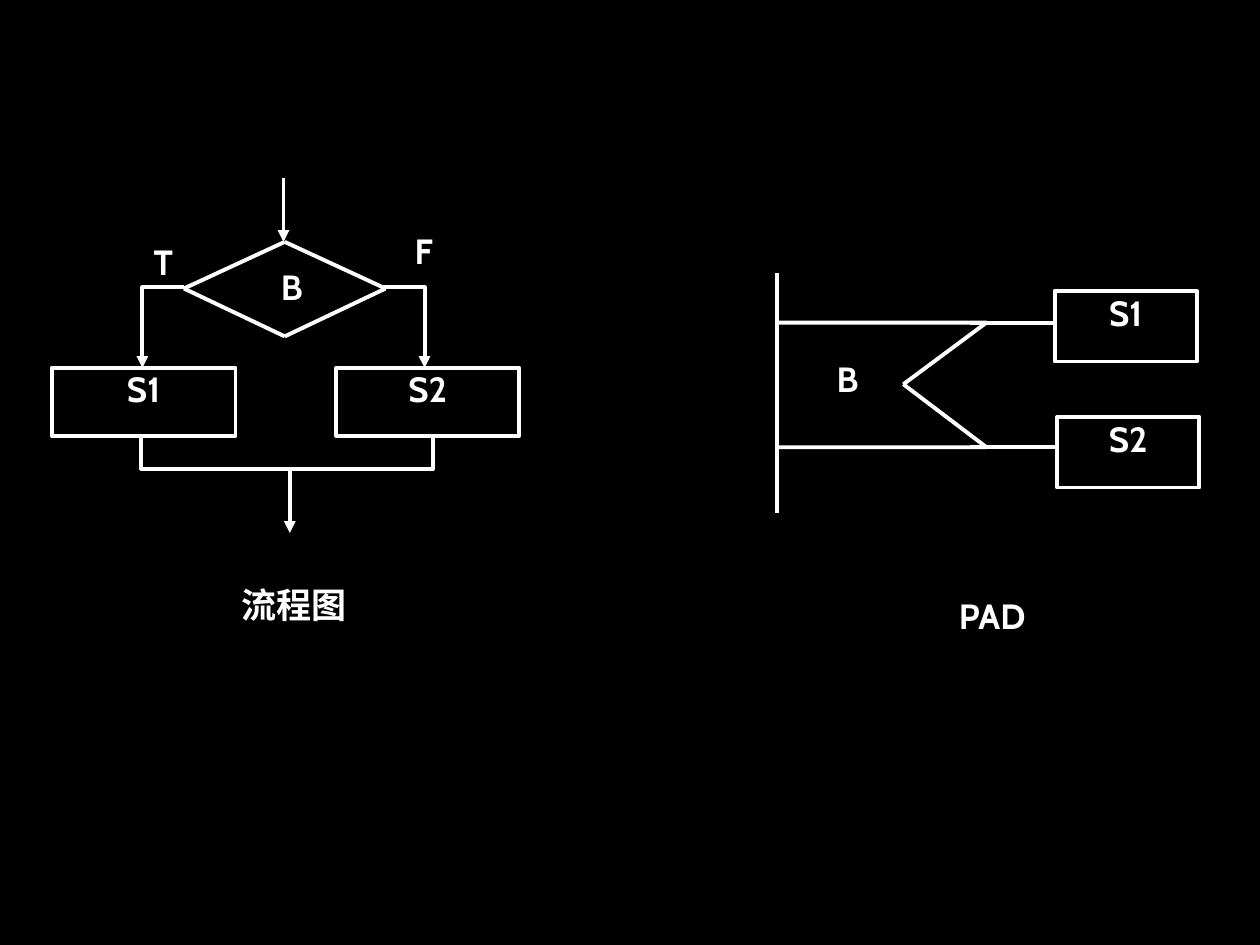
from pptx import Presentation
from pptx.dml.color import RGBColor as Rgb
from pptx.enum.shapes import MSO_CONNECTOR as Conn, MSO_SHAPE as Kind
from pptx.enum.text import MSO_ANCHOR as Anchor, PP_ALIGN as Align
from pptx.oxml.ns import qn
from pptx.util import Inches, Pt
from lxml.etree import SubElement as Sub

COLORS = {"back": "000000", "ink": "FFFFFF"}
FONT = {"name": "Cabin", "size": Pt(20), "bold": True}
SIDES = ("left", "top", "right", "bottom")


def ink(name):
    return Rgb.from_string(COLORS[name])


def stroke(shape, arrow=False):
    shape.line.color.rgb = ink("ink")
    shape.line.width = Pt(2.25)
    if arrow:
        line = shape.element.spPr.find(qn("a:ln"))
        Sub(line, qn("a:tailEnd"), type="triangle")


def write(shape, text, align, pads=(0, 0, 0, 0)):
    frame = shape.text_frame
    frame.word_wrap = True
    frame.vertical_anchor = Anchor.TOP
    for side, pad in zip(SIDES, pads):
        setattr(frame, f"margin_{side}", Inches(pad))
    para = frame.paragraphs[0]
    para.alignment = align
    run = para.add_run()
    run.text = text
    for key, value in FONT.items():
        setattr(run.font, key, value)
    run.font.color.rgb = ink("ink")


def add_line(slide, start, end, arrow=False):
    ends = [Inches(n) for n in (*start, *end)]
    line = slide.shapes.add_connector(Conn.STRAIGHT, *ends)
    stroke(line, arrow)
    Sub(line.element.spPr, qn("a:effectLst"))


def add_path(slide, points, arrow=False):
    first, *rest = [(Inches(x), Inches(y)) for x, y in points]
    pen = slide.shapes.build_freeform(*first)
    pen.add_line_segments(rest, close=False)
    shape = pen.convert_to_shape()
    shape.fill.background()
    stroke(shape, arrow)
    shape.shadow.inherit = False


def add_box(slide, text, *area):
    box = slide.shapes.add_shape(Kind.RECTANGLE, *map(Inches, area))
    box.fill.background()
    stroke(box)
    box.shadow.inherit = False
    write(box, text, Align.CENTER)


def add_label(slide, text, *area):
    label = slide.shapes.add_textbox(*map(Inches, area))
    write(label, text, Align.JUSTIFY)


def add_title(slide, text, *area):
    title = slide.shapes.add_textbox(*map(Inches, area))
    write(title, text, Align.CENTER, (0.1, 0.05, 0.1, 0.05))


def draw_flow(slide):
    mid, row = 2.26, 2.29
    for tip in (1.92, 2.67):
        for side in (1.46, 3.06):
            add_line(slide, (mid, tip), (side, row))
    add_label(slide, "B", 2.23, 2.11, 0.3, 0.48)
    add_label(slide, "T", 1.22, 1.91, 0.33, 0.44)
    add_label(slide, "F", 3.29, 1.82, 0.51, 0.58)
    add_box(slide, "S1", 0.41, 2.92, 1.46, 0.54)
    add_box(slide, "S2", 2.67, 2.92, 1.45, 0.54)
    for x, top in ((2.25, 1.41), (2.3, 3.72)):
        add_line(slide, (x, top), (x, top + 0.51), True)
    for side, x in ((1.46, 1.13), (3.04, 3.37)):
        add_path(slide, [(side, 2.28), (x, 2.28), (x, 2.92)], True)
    add_path(slide, [(1.12, 3.45), (1.12, 3.72), (3.44, 3.72), (3.44, 3.45)])
    add_title(slide, "流程图", 0.5, 4.58, 3.67, 0.44)


def draw_pad(slide):
    stem = 6.17
    add_line(slide, (stem, 2.17), (stem, 4.07))
    for text, y, left, top in (("S1", 2.56, 8.37, 2.31), ("S2", 3.55, 8.39, 3.31)):
        add_path(slide, [(stem, y), (7.83, y), (7.17, 3.05)])
        add_line(slide, (7.7, y), (left, y))
        add_box(slide, text, left, top, 1.13, 0.56)
    add_label(slide, "B", 6.64, 2.84, 0.42, 0.44)
    add_title(slide, "PAD", 6.25, 4.67, 3.25, 0.44)


def main():
    deck = Presentation()
    deck.slide_width, deck.slide_height = Inches(10), Inches(7.5)
    slide = deck.slides.add_slide(deck.slide_layouts[6])
    fill = slide.background.fill
    fill.solid()
    fill.fore_color.rgb = ink("back")
    draw_flow(slide)
    draw_pad(slide)
    deck.save("out.pptx")


if __name__ == "__main__":
    main()
